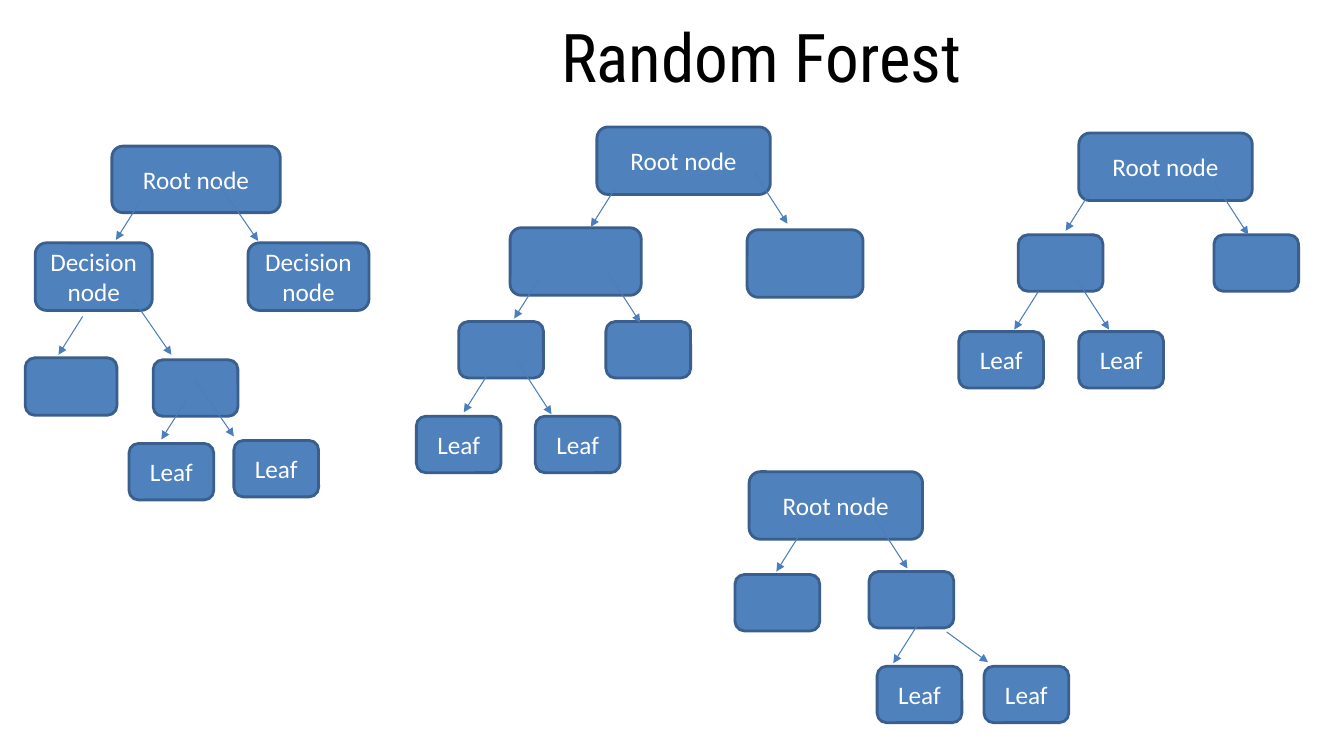
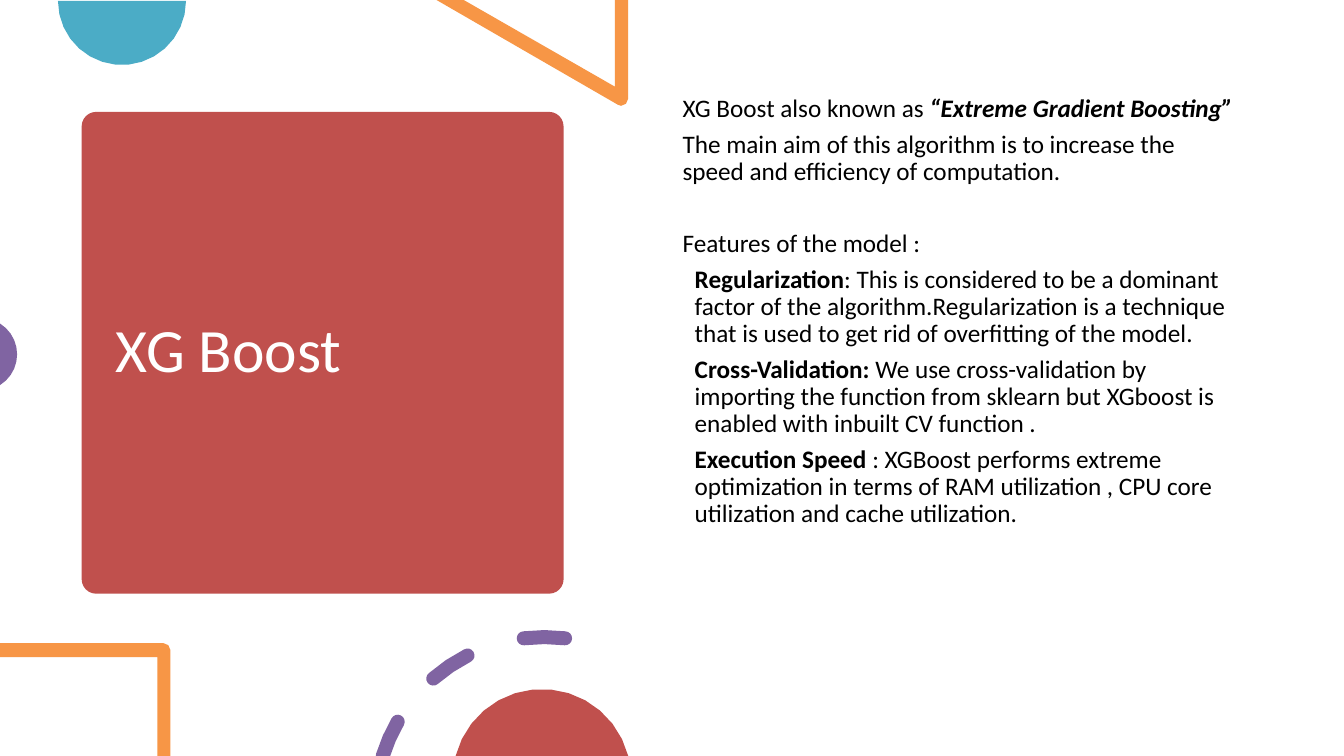
import math
from lxml import etree
from pptx import Presentation
from pptx import util as u
from pptx.dml.color import RGBColor
from pptx.enum import shapes, text
from pptx.oxml.ns import qn

COLS, ROWS = 1333, 750
CELL = u.Inches(0.01)
HUES = {"node": "4F81BD", "edge": "3A5F8C", "arrow": "4B7EBC", "red": "C0504D",
        "teal": "4BACC6", "orange": "F79646", "purple": "8064A2",
        "white": "FFFFFF", "black": "000000"}
FACE = {"name": "Calibri", "size": u.Pt(18)}
FRAME = {"word_wrap": True, "auto_size": text.MSO_AUTO_SIZE.NONE}
MID = {"vertical_anchor": text.MSO_ANCHOR.MIDDLE}
TIGHT = {"line_spacing": 0.9, "space_before": u.Pt(0), "space_after": u.Pt(6)}
INSET = {f"margin_{side}": 10 * CELL for side in ("left", "top", "right", "bottom")}

KINDS = {"root": (172, 67, "Root node"), "leaf": (84, 56, "Leaf"), "bud": (84, 56, ""),
         "left": (116, 67, "Decision node"), "right": (120, 67, "Decision node")}
STEPS = {"left": (-24, 38), "right": (33, 51), "long": (38, 55), "flat": (41, 30)}

TREES = [
    ((25, 145),
     [("root", 86, 0, 167, 66), ("left", 10, 96), ("right", 221, 96),
      ("bud", 0, 210, 91, 57), ("bud", 127, 212), ("leaf", 103, 295), ("leaf", 207, 292)],
     [("left", 114, 55), ("long", 193, 39), ("left", 57, 169), ("long", 107, 152),
      ("left", 159, 253), ("long", 169, 233)]),
    ((413, 126),
     [("root", 179, 0), ("bud", 93, 100, 130, 67), ("bud", 328, 102, 115, 67),
      ("bud", 42, 193), ("bud", 188, 193), ("leaf", 0, 287), ("leaf", 118, 287)],
     [("left", 197, 61), ("right", 335, 45), ("left", 121, 152), ("right", 189, 143),
      ("left", 71, 245), ("right", 101, 234)]),
    ((951, 132),
     [("root", 119, 0), ("bud", 59, 101), ("bud", 253, 101),
      ("leaf", 0, 197), ("leaf", 119, 197)],
     [("left", 130, 59), ("right", 254, 50), ("left", 79, 157), ("right", 116, 144)]),
    ((729, 468),
     [("root", 14, 0), ("bud", 0, 102), ("bud", 133, 99),
      ("leaf", 141, 193), ("leaf", 247, 193)],
     [("left", 65, 61), ("right", 138, 45), ("left", 181, 152), ("flat", 210, 159)]),
]

PARTS = [
    (0, 0, [("XG Boost also known as ", {}),
            ("“Extreme Gradient Boosting”", {"bold": True, "italic": True})]),
    (0, 0, [("The main aim of this algorithm is to increase the speed and efficiency "
             "of computation. ", {})]),
    (0, 26, [("Features of the model : ", {})]),
    (12, 0, [("Regularization", {"bold": True}),
             (": This is considered to be a dominant factor of the algorithm."
              "Regularization is a technique that is used to get rid of overfitting "
              "of the model.", {})]),
    (12, 0, [("Cross-Validation:", {"bold": True}),
             (" We use cross-validation by importing the function from sklearn but "
              "XGboost is enabled with inbuilt CV function .", {})]),
    (12, 0, [("Execution Speed ", {"bold": True}),
             (": XGBoost performs extreme optimization in terms of RAM utilization , "
              "CPU core utilization and cache utilization.", {})]),
]


def put(item, *sets):
    for vals in sets:
        for key, val in vals.items():
            setattr(item, key, val)


def hue(name):
    return RGBColor.from_string(HUES[name])


def paint(shape, fill, edge=None):
    shape.shadow.inherit = False
    shape.fill.solid()
    shape.fill.fore_color.rgb = hue(fill)
    if edge:
        shape.line.color.rgb = hue(edge)
        shape.line.width = u.Pt(2)
    else:
        shape.line.fill.background()


def place(shape, box):
    put(shape, dict(zip(("left", "top", "width", "height"), (n * CELL for n in box))))


def write(para, words, color, *sets):
    run = para.add_run()
    run.text = words
    put(run.font, FACE, *sets)
    run.font.color.rgb = hue(color)


def head(slide, box, words, color, font, frame, para):
    title = slide.shapes.title
    place(title, box)
    put(title.text_frame, FRAME, frame)
    first = title.text_frame.paragraphs[0]
    put(first, para)
    write(first, words, color, font)
    return title


def block(slide, box):
    return slide.shapes.add_shape(shapes.MSO_SHAPE.ROUNDED_RECTANGLE,
                                  *(n * CELL for n in box))


def node(slide, base, kind, x, y, wide=None, high=None):
    cols, rows, words = KINDS[kind]
    shape = block(slide, (base[0] + x, base[1] + y, wide or cols, high or rows))
    paint(shape, "node", "edge")
    if words:
        put(shape.text_frame, FRAME, MID)
        para = shape.text_frame.paragraphs[0]
        para.alignment = text.PP_ALIGN.CENTER
        write(para, words, "white")


def arrow(slide, base, kind, x, y):
    x, y = base[0] + x, base[1] + y
    dx, dy = STEPS[kind]
    line = slide.shapes.add_connector(shapes.MSO_CONNECTOR.STRAIGHT,
                                      *(n * CELL for n in (x, y, x + dx, y + dy)))
    line.line.color.rgb = hue("arrow")
    line.line.width = u.Pt(0.75)
    props = line.element.spPr
    etree.SubElement(props.find(qn("a:ln")), qn("a:tailEnd"), type="triangle")
    etree.SubElement(props, qn("a:effectLst"))


def tree(slide, base, nodes, arrows):
    for item in nodes:
        node(slide, base, *item)
    for item in arrows:
        arrow(slide, base, *item)


def arc(x, y, rad, start, end):
    count = math.ceil((end - start) / (12 if rad > 20 else 45))
    turns = (math.radians(start + (end - start) * n / count) for n in range(count + 1))
    return [(x + rad * math.cos(t), y + rad * math.sin(t)) for t in turns]


def trace(slide, *loops, close=True):
    pen = slide.shapes.build_freeform(scale=1.0)
    for n, loop in enumerate(loops):
        pts = [(round(x * CELL), round(y * CELL)) for x, y in loop]
        if n:
            pen.move_to(*pts[0])
        else:
            pen = slide.shapes.build_freeform(*pts[0], scale=1.0)
        pen.add_line_segments(pts[1:], close=close)
    return pen.convert_to_shape()


def ring(slide, x, y, rad, turns):
    shape = trace(slide, *(arc(x, y, rad, *turn) for turn in turns), close=False)
    shape.shadow.inherit = False
    shape.fill.background()
    shape.line.color.rgb = hue("purple")
    shape.line.width = u.Pt(10)
    shape.element.spPr.find(qn("a:ln")).set("cap", "rnd")


def decor(slide):
    for color, loop in (
            ("teal", arc(121, 1, 63.5, 0, 180)),
            ("orange", [(433, 0), (613, 104)] + arc(616, 98, 7, 0, 90)[::-1]
             + [(623, 0), (610, 0), (610, 86), (460, 0)]),
            ("purple", arc(-19, 351.5, 36, -58, 58)),
            ("orange", [(0, 638)] + arc(162, 645, 7, 270, 360)
             + [(169, ROWS), (156, ROWS), (156, 652), (0, 652)]),
            ("red", arc(537.5, 772, 88.4, 194.4, 345.6))):
        paint(trace(slide, loop), color)
    ring(slide, 540, 800, 168, ((197.4, 210), (229, 243), (263, 277)))


def card(slide, box):
    x, y, wide, high = box
    shape = block(slide, box)
    shape.adjustments[0] = 0.03
    paint(shape, "red")
    title = head(slide, (x + 24, y + 11, wide - 47, high - 22), "XG Boost", "white",
                 {"size": u.Pt(44)}, MID, {**TIGHT, "alignment": text.PP_ALIGN.LEFT})
    title.element.addprevious(shape.element)


def body(slide, box):
    hold = slide.placeholders[1]
    place(hold, box)
    frame = hold.text_frame
    put(frame, FRAME)
    for n, (dent, gap, runs) in enumerate(PARTS):
        para = frame.add_paragraph() if n else frame.paragraphs[0]
        put(para, TIGHT, {"space_before": u.Pt(gap)})
        props = para._p.get_or_add_pPr()
        props.set("marL", str(dent * CELL))
        props.set("indent", "0")
        etree.SubElement(props, qn("a:buNone"))
        for words, font in runs:
            write(para, words, "black", font)


def forest(deck):
    slide = deck.slides.add_slide(deck.slide_layouts[5])
    head(slide, (220, 5, 744, 77), " Random Forest", "black",
         {"name": "Roboto Condensed", "size": u.Pt(48)},
         {**INSET, "vertical_anchor": text.MSO_ANCHOR.TOP},
         {"alignment": text.PP_ALIGN.RIGHT})
    for item in TREES:
        tree(slide, *item)


def boost(deck):
    slide = deck.slides.add_slide(deck.slide_layouts[1])
    card(slide, (81, 111, 478, 478))
    body(slide, (667, 90, 575, 535))
    decor(slide)


def main():
    deck = Presentation()
    put(deck, {"slide_width": COLS * CELL, "slide_height": ROWS * CELL})
    forest(deck)
    boost(deck)
    deck.save("out.pptx")


if __name__ == "__main__":
    main()
